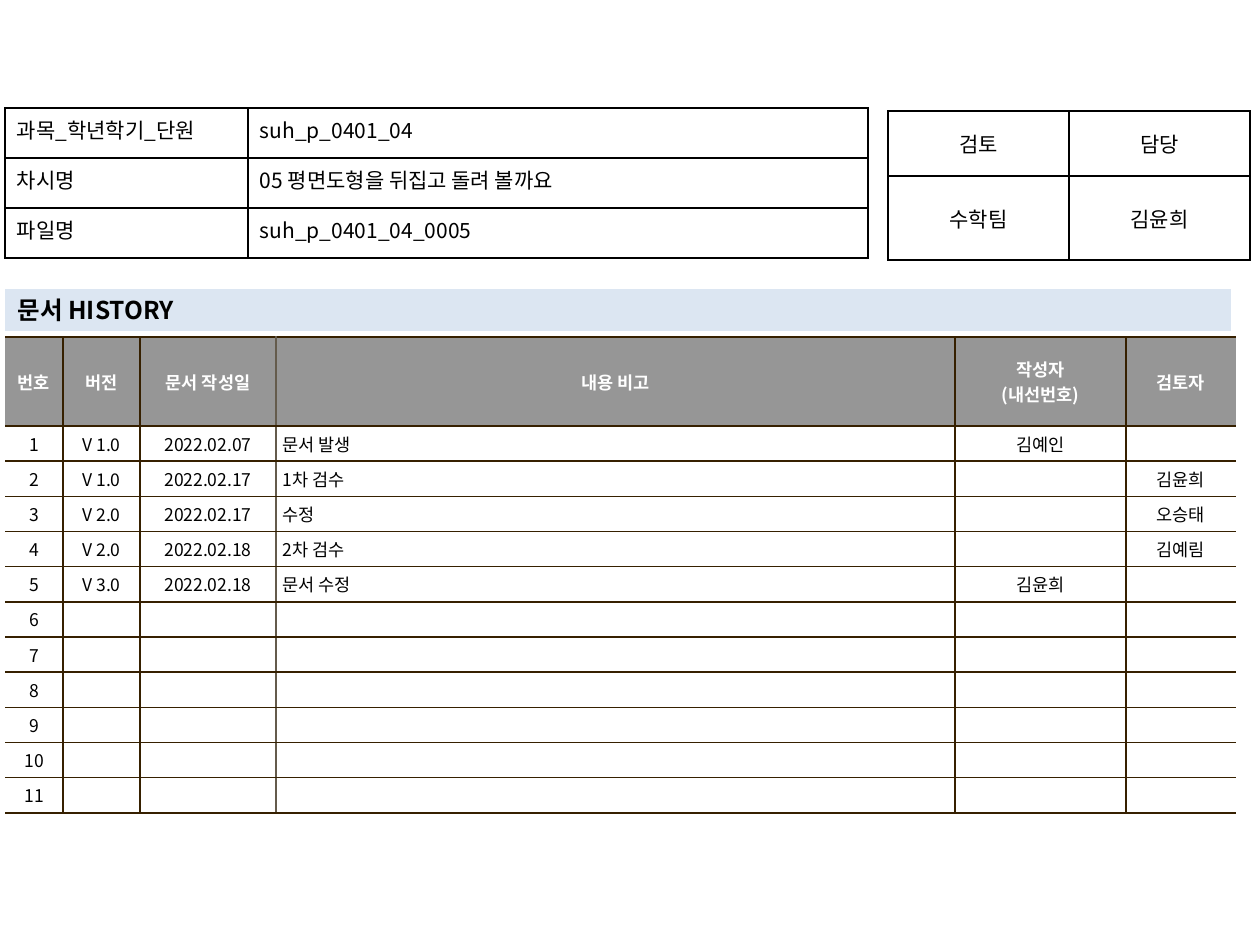
from lxml import etree
from pptx import Presentation
from pptx.dml.color import RGBColor
from pptx.enum.text import MSO_ANCHOR, MSO_AUTO_SIZE, PP_ALIGN
from pptx.oxml.ns import qn
from pptx.util import Inches, Pt

LEFT, CENTER, JUSTIFY = PP_ALIGN.LEFT, PP_ALIGN.CENTER, PP_ALIGN.JUSTIFY
TOP, MIDDLE = MSO_ANCHOR.TOP, MSO_ANCHOR.MIDDLE
NO_AUTOFIT = MSO_AUTO_SIZE.NONE

FONT = "Noto Sans CJK KR"
BLACK = RGBColor(0x00, 0x00, 0x00)
WHITE = RGBColor(0xFF, 0xFF, 0xFF)
GRAY = RGBColor(0x96, 0x96, 0x96)
PALE_BLUE = RGBColor(0xDC, 0xE6, 0xF2)
BROWN = RGBColor(0x36, 0x20, 0x00)
TAUPE = RGBColor(0x64, 0x5B, 0x4C)

TITLE = "문서 HISTORY"
LESSON = [
    ("과목_학년학기_단원", "suh_p_0401_04"),
    ("차시명", "05 평면도형을 뒤집고 돌려 볼까요"),
    ("파일명", "suh_p_0401_04_0005"),
]
APPROVAL = [("검토", "담당"), ("수학팀", "김윤희")]
HISTORY_HEADER = ("번호", "버전", "문서 작성일", "내용 비고", "작성자\n(내선번호)", "검토자")
HISTORY_ENTRIES = [
    ("V 1.0", "2022.02.07", "문서 발생", "김예인", ""),
    ("V 1.0", "2022.02.17", "1차 검수", "", "김윤희"),
    ("V 2.0", "2022.02.17", "수정", "", "오승태"),
    ("V 2.0", "2022.02.18", "2차 검수", "", "김예림"),
    ("V 3.0", "2022.02.18", "문서 수정", "김윤희", ""),
]
HISTORY_ROW_COUNT = 11
NOTE_COLUMN = 3


def px(length):
    return round(length * Inches(1) / 126)


def write(frame, text, size=12, color=BLACK, bold=False, align=LEFT):
    for index, line in enumerate(text.split("\n")):
        paragraph = frame.paragraphs[0] if index == 0 else frame.add_paragraph()
        paragraph.alignment = align
        if not line:
            # An empty cell takes its line height from the end mark.
            end_mark = etree.SubElement(paragraph._p, qn("a:endParaRPr"))
            end_mark.set("sz", str(size * 100))
            continue
        run = paragraph.add_run()
        run.text = line
        run.font.name = FONT
        run.font.size = Pt(size)
        run.font.bold = bold
        run.font.color.rgb = color
        east_asian = etree.SubElement(run._r.get_or_add_rPr(), qn("a:ea"))
        east_asian.set("typeface", FONT)


def set_borders(cell, left, right, top, bottom):
    """Draw each side 1 pt wide in its colour, or leave it open for None."""
    properties = cell._tc.get_or_add_tcPr()
    for side, color in zip("LRTB", (left, right, top, bottom)):
        line = etree.SubElement(properties, qn(f"a:ln{side}"), w=str(Pt(1)))
        if color is None:
            etree.SubElement(line, qn("a:noFill"))
        else:
            fill = etree.SubElement(line, qn("a:solidFill"))
            etree.SubElement(fill, qn("a:srgbClr"), val=str(color))


def add_table(slide, rows, left, top, widths, heights, edges, style,
              anchor=MIDDLE, margins=(12, 6)):
    """Edges hold one colour per vertical line, then one for all horizontals.

    style(row, column) gives the fill and the text format of a cell.
    """
    *verticals, horizontal = edges
    frame = slide.shapes.add_table(len(rows), len(widths), px(left), px(top),
                                   px(sum(widths)), px(sum(heights)))
    table = frame.table
    table.first_row = table.horz_banding = False
    for column, width in zip(table.columns, widths):
        column.width = px(width)
    for row, height in zip(table.rows, heights):
        row.height = px(height)
    for row_index, texts in enumerate(rows):
        for column_index, text in enumerate(texts):
            cell = table.cell(row_index, column_index)
            set_borders(cell, verticals[column_index], verticals[column_index + 1],
                        horizontal, horizontal)
            fill, text_format = style(row_index, column_index)
            if fill is None:
                cell.fill.background()
            else:
                cell.fill.solid()
                cell.fill.fore_color.rgb = fill
            cell.vertical_anchor = anchor
            cell.margin_left = cell.margin_right = px(margins[0])
            cell.margin_top = cell.margin_bottom = px(margins[1])
            write(cell.text_frame, text, **text_format)


def history_style(row, column):
    if row == 0:
        return GRAY, dict(size=10, color=WHITE, bold=True, align=CENTER)
    return WHITE, dict(size=10, align=LEFT if column == NOTE_COLUMN else CENTER)


def approval_style(row, column):
    return None, dict(align=CENTER)


def lesson_style(row, column):
    return None, dict(align=LEFT if column else JUSTIFY)


def add_title(slide):
    title = slide.shapes.title
    title.left, title.top, title.width, title.height = map(px, (5, 289, 1226, 42))
    title.fill.solid()
    title.fill.fore_color.rgb = PALE_BLUE
    frame = title.text_frame
    frame.auto_size = NO_AUTOFIT
    frame.vertical_anchor = MIDDLE
    write(frame, TITLE, size=14, bold=True)


def main():
    presentation = Presentation()
    presentation.slide_width, presentation.slide_height = Inches(10), Inches(7.5)
    slide = presentation.slides.add_slide(presentation.slide_layouts[5])
    add_title(slide)

    blanks = [("",) * 5] * (HISTORY_ROW_COUNT - len(HISTORY_ENTRIES))
    history = [HISTORY_HEADER] + [
        (str(number), *entry)
        for number, entry in enumerate(HISTORY_ENTRIES + blanks, start=1)
    ]
    add_table(slide, history, 5, 337, (58, 77, 136, 679, 171, 110),
              [89] + [31] * HISTORY_ROW_COUNT,
              (None, BROWN, BROWN, TAUPE, BROWN, BROWN, None, BROWN),
              history_style, margins=(7, 5))
    add_table(slide, APPROVAL, 888, 111, (181, 181), (65, 84),
              [BLACK] * 4, approval_style)
    add_table(slide, LESSON, 5, 108, (243, 620), [50] * 3,
              [BLACK] * 4, lesson_style, anchor=TOP)
    presentation.save("out.pptx")


if __name__ == "__main__":
    main()
